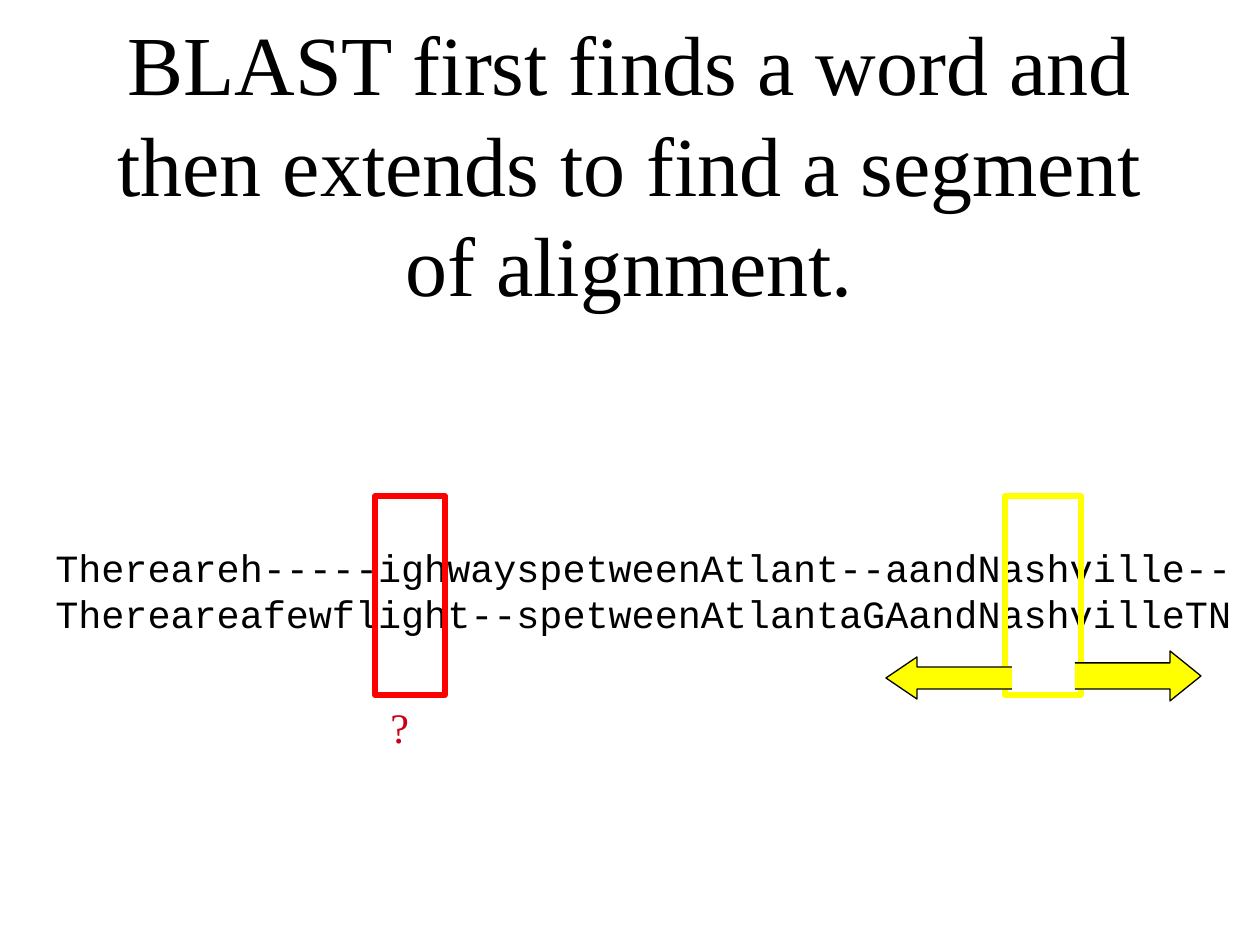
from pptx import Presentation
from pptx.dml.color import RGBColor
from pptx.enum.shapes import MSO_SHAPE as Shape
from pptx.enum.text import MSO_ANCHOR as Anchor, PP_ALIGN as Align
from pptx.util import Emu, Pt

SCALE = 914400 / 126


def px(length):
    return Emu(round(length * SCALE))


def color(code):
    return RGBColor.from_string(code)


def add_text(page, text, left, top, width, height, font="Times New Roman", size=24,
             ink="000000", align=Align.LEFT, anchor=Anchor.TOP, spacing=None, wrap=True):
    box = page.shapes.add_textbox(px(left), px(top), px(width), px(height))
    frame = box.text_frame
    frame.word_wrap = wrap
    frame.vertical_anchor = anchor
    for index, line in enumerate(text.split("\n")):
        para = frame.paragraphs[0] if index == 0 else frame.add_paragraph()
        para.alignment = align
        para.line_spacing = spacing
        span = para.add_run()
        span.text = line
        span.font.name = font
        span.font.size = Pt(size)
        span.font.color.rgb = color(ink)


def add_frame(page, left, width, ink):
    frame = page.shapes.add_shape(Shape.RECTANGLE, px(left), px(496), px(width), px(199))
    frame.shadow.inherit = False
    frame.fill.background()
    frame.line.color.rgb = color(ink)
    frame.line.width = Pt(3)


def add_open_arrow(page, tail, middle, direction, shaft, head):
    neck = tail + direction * 95
    tip = tail + direction * 126
    builder = page.shapes.build_freeform(tail, middle - shaft, scale=SCALE)
    builder.add_line_segments([
        (neck, middle - shaft), (neck, middle - head), (tip, middle),
        (neck, middle + head), (neck, middle + shaft), (tail, middle + shaft),
    ], close=False)
    arrow = builder.convert_to_shape()
    arrow.shadow.inherit = False
    arrow.fill.solid()
    arrow.fill.fore_color.rgb = color("FFFF00")
    arrow.line.color.rgb = color("000000")
    arrow.line.width = Pt(0.75)


def main():
    deck = Presentation()
    deck.slide_width, deck.slide_height = px(1260), px(945)
    page = deck.slides.add_slide(deck.slide_layouts[6])

    add_text(page, "BLAST first finds a word and then extends to find a segment of alignment.",
             94, 30, 1071, 265, size=48, align=Align.CENTER, anchor=Anchor.MIDDLE)
    add_text(page, "Thereareh-----ighwayspetweenAtlant--aandNashville--\n"
                   "Thereareafewflight--spetweenAtlantaGAandNashvilleTN",
             43, 538, 1386, 106, font="Courier New", size=22)
    add_frame(page, 1005, 76, "FFFF00")
    add_open_arrow(page, 1075, 676, 1, 13, 25)
    add_open_arrow(page, 1012, 678, -1, 11, 21)
    add_frame(page, 375, 70, "FF0000")
    add_text(page, "?", 378, 699, 48, 94, ink="C90016", spacing=0.95)

    deck.save("out.pptx")


if __name__ == "__main__":
    main()
